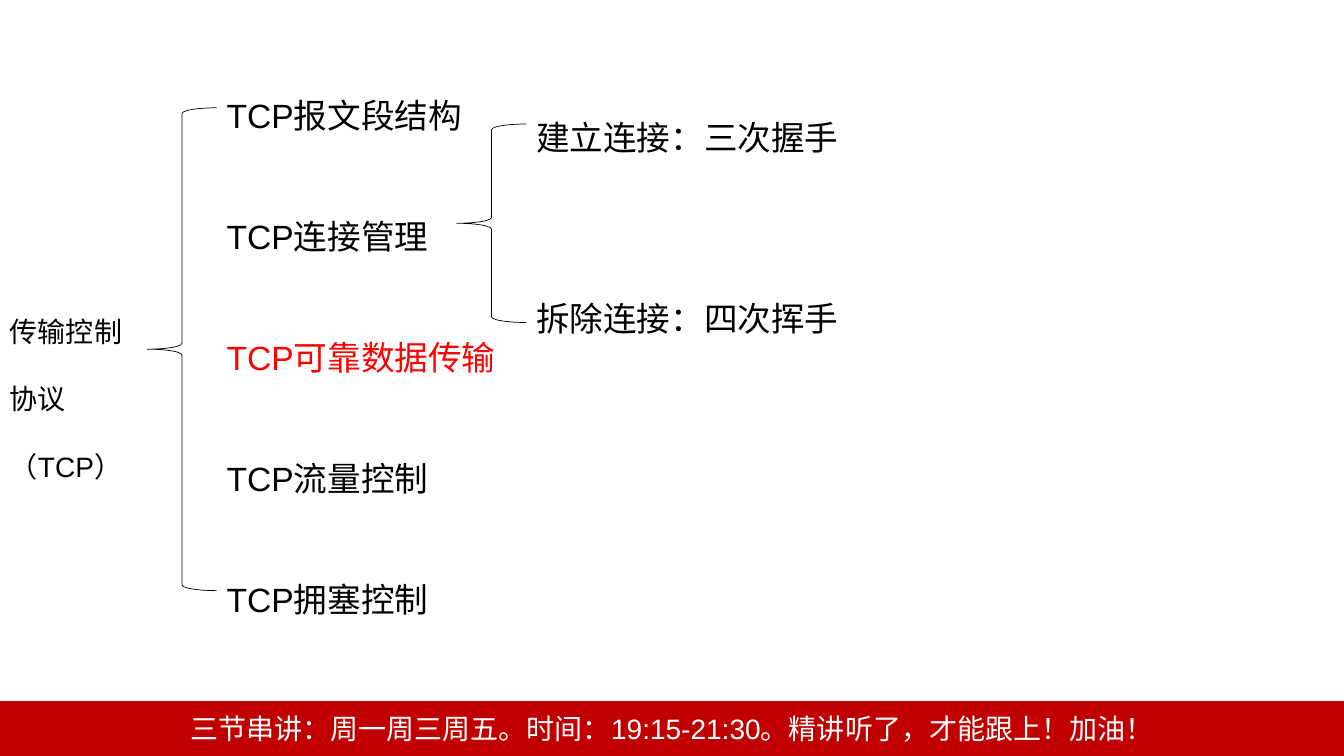
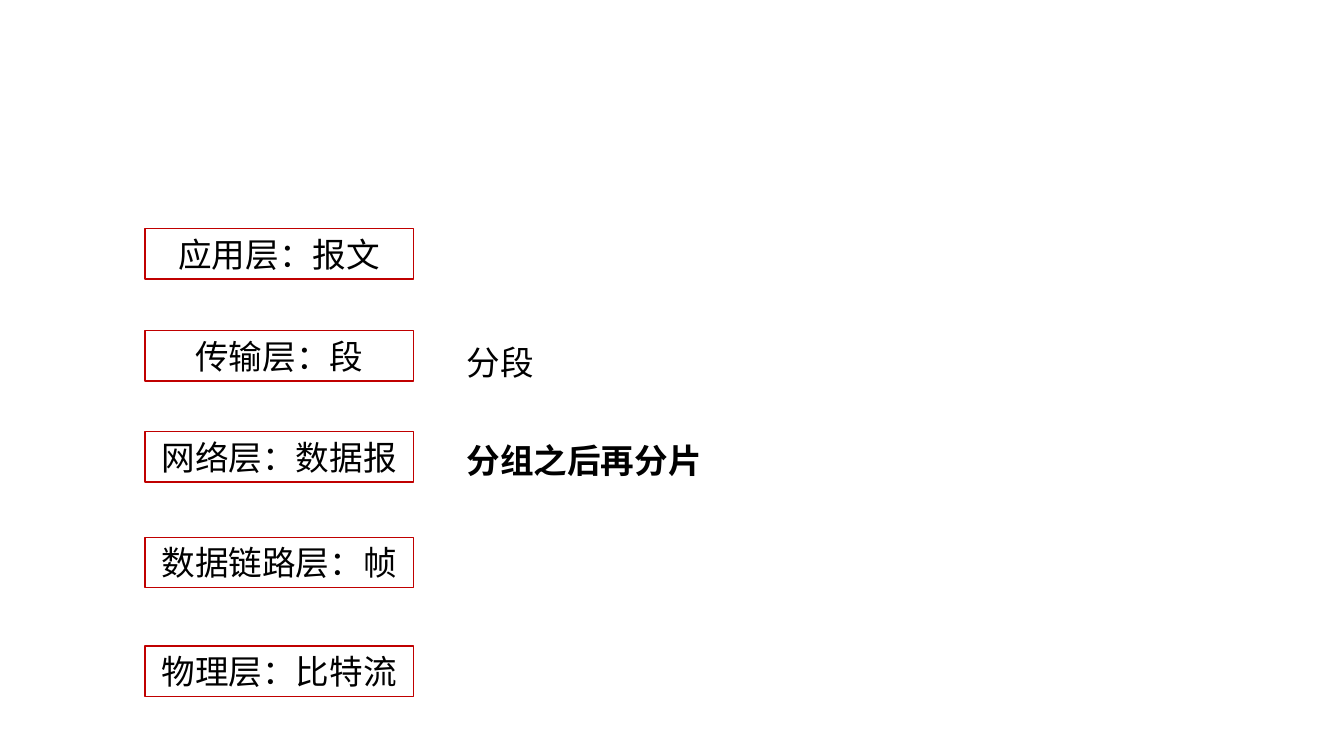
from dataclasses import dataclass

from lxml import etree
from pptx import Presentation
from pptx.dml.color import RGBColor
from pptx.enum import shapes, text
from pptx.oxml import ns
from pptx.util import Pt


@dataclass(frozen=True)
class Theme:
    ink: RGBColor = RGBColor(0, 0, 0)
    accent: RGBColor = RGBColor(255, 0, 0)
    band: RGBColor = RGBColor(192, 0, 0)
    light: RGBColor = RGBColor(255, 255, 255)
    latin: str = "Arial"
    chinese: str = "Noto Sans CJK SC"
    small: int = 20
    large: int = 24
    leading: float = 43.2
    wide_leading: float = 48


THEME = Theme()
PAGE_WIDTH, PAGE_HEIGHT = 960, 540
SHAPE = shapes.MSO_SHAPE
ANCHOR = text.MSO_ANCHOR

ROOT = ["传输控制", "协议（TCP）"]
TOPICS = ["TCP报文段结构", "TCP连接管理", "TCP可靠数据传输", "TCP流量控制", "TCP拥塞控制"]
CURRENT_TOPIC = "TCP可靠数据传输"
CONNECTION_STEPS = ["建立连接：三次握手", "拆除连接：四次挥手"]
BRACES = [(105.1, 77, 49.7, 344.9), (326.2, 88.6, 49.7, 141.8)]
BAND_TEXT = "三节串讲：周一周三周五。时间：19:15-21:30。精讲听了，才能跟上！加油！"

# Top edge, layer, side note, and centre and weight of the note
LAYERS = [
    (163.4, "应用层：报文", None),
    (236.2, "传输层：段", ("分段", 251.5, False)),
    (308.2, "网络层：数据报", ("分组之后再分片", 321.7, True)),
    (383.8, "数据链路层：帧", None),
    (461.5, "物理层：比特流", None),
]
LAYER_LEFT, LAYER_WIDTH, LAYER_HEIGHT = 103.7, 191.5, 36
NOTE_LEFT, NOTE_WIDTH, NOTE_HEIGHT = 326.2, 273, 50.4


def apply(target, formats):
    for name, value in formats.items():
        setattr(target, name, value)


def write(box, lines, size=THEME.large, color=THEME.ink, latin=THEME.latin,
          bold=False, highlight=None, anchor=ANCHOR.TOP, **paragraph):
    """Fill a box; space_before applies from the second line on."""
    frame = box.text_frame
    apply(frame, {"word_wrap": True, "vertical_anchor": anchor})
    for index, line in enumerate(lines):
        para = frame.add_paragraph() if index else frame.paragraphs[0]
        apply(para, paragraph)
        if not index:
            para.space_before = Pt(0)
        span = para.add_run()
        span.text = line
        apply(span.font, {"size": Pt(size), "name": latin, "bold": bold})
        span.font.color.rgb = THEME.accent if line == highlight else color
        east_asian = etree.SubElement(span.font._element, ns.qn("a:ea"))
        east_asian.set("typeface", THEME.chinese)


def add_text(page, place, lines, leading=THEME.leading, **formats):
    box = page.shapes.add_textbox(*map(Pt, place))
    write(box, lines, line_spacing=Pt(leading), **formats)


def add_outline(page, kind, place, color, width, fill=None):
    box = page.shapes.add_shape(kind, *map(Pt, place))
    box.shadow.inherit = False
    if fill is None:
        box.fill.background()
    else:
        box.fill.solid()
        box.fill.fore_color.rgb = fill
    box.line.color.rgb = color
    box.line.width = Pt(width)
    return box


def add_label_box(page, place, label, fill=None, **formats):
    box = add_outline(page, SHAPE.RECTANGLE, place, THEME.band, 1, fill)
    write(box, [label], anchor=ANCHOR.MIDDLE,
          alignment=text.PP_ALIGN.CENTER, **formats)


def build_topics(page):
    add_text(page, (0, 197.3, 130.3, 104.4), ROOT, THEME.wide_leading,
             size=THEME.small)
    add_text(page, (154.8, 49.7, 375, 399.6), TOPICS,
             highlight=CURRENT_TOPIC, space_before=Pt(THEME.leading))
    for place in BRACES:
        add_outline(page, SHAPE.LEFT_BRACE, place, THEME.ink, 0.5)
    add_text(page, (375.8, 65.5, 365.8, 181.4), CONNECTION_STEPS,
             space_before=Pt(2 * THEME.leading))
    band_top = 501
    add_label_box(page, (0, band_top, PAGE_WIDTH, PAGE_HEIGHT - band_top),
                  BAND_TEXT, THEME.band, size=THEME.small, color=THEME.light)


def build_layers(page):
    for top, layer, note in LAYERS:
        add_label_box(page, (LAYER_LEFT, top, LAYER_WIDTH, LAYER_HEIGHT),
                      layer, latin=THEME.chinese)
        if note:
            label, centre, bold = note
            place = (NOTE_LEFT, centre - NOTE_HEIGHT / 2, NOTE_WIDTH, NOTE_HEIGHT)
            add_text(page, place, [label], bold=bold, latin=THEME.chinese,
                     anchor=ANCHOR.MIDDLE)


def main():
    deck = Presentation()
    apply(deck, {"slide_width": Pt(PAGE_WIDTH), "slide_height": Pt(PAGE_HEIGHT)})
    for build in (build_topics, build_layers):
        build(deck.slides.add_slide(deck.slide_layouts[6]))
    deck.save("out.pptx")


if __name__ == "__main__":
    main()
